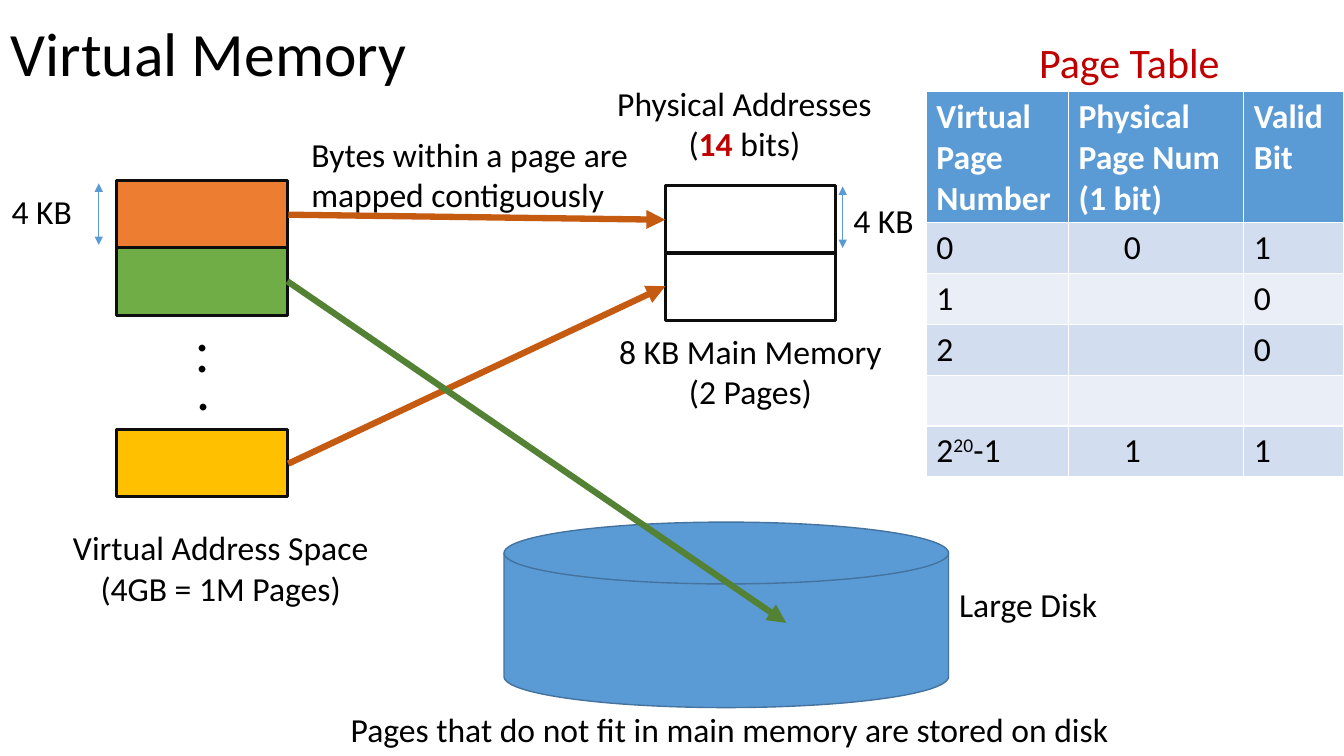
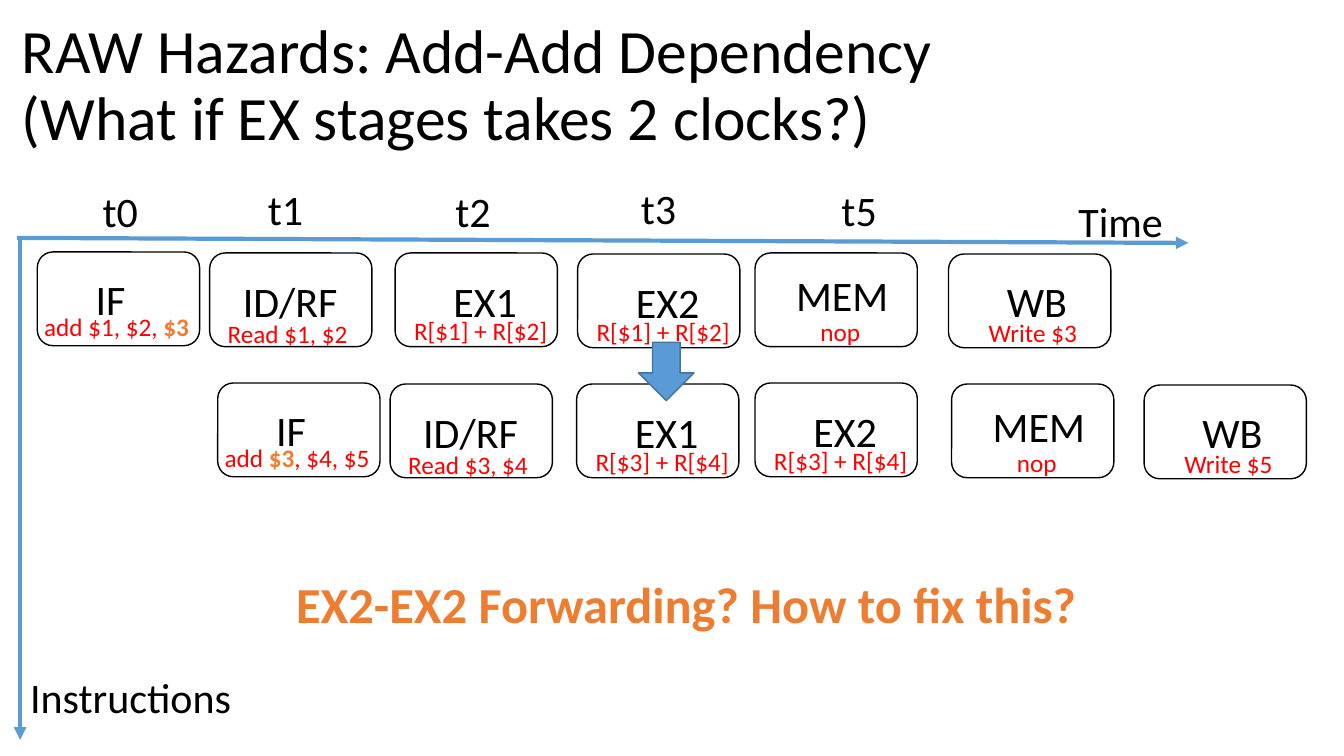
from lxml.etree import SubElement
from pptx import Presentation
from pptx.dml.color import RGBColor
from pptx.enum.shapes import MSO_CONNECTOR, MSO_SHAPE
from pptx.enum.text import MSO_ANCHOR, MSO_AUTO_SIZE, PP_ALIGN
from pptx.oxml.ns import qn
from pptx.util import Inches, Pt

# Grid: square cells of a tenth of an inch, 133.33 columns by 75 rows
COLUMNS, ROWS = 133.33, 75

# Shared style
FONT = "Calibri"
BLACK, WHITE, OUTLINE = "000000", "FFFFFF", "0D0D0D"
BLUE, DARK_BLUE = "5B9BD5", "43739E"
ORANGE, RUST = "ED7D31", "C55A11"
GREEN, DARK_GREEN = "70AD47", "548235"
YELLOW, CRIMSON, RED = "FFC000", "C00000", "FF0000"
BANDS = ("D2DEEF", "EAEFF7")

TITLE = {"size": 44}
BODY = {"size": 24}
HEADING = {"size": 30}
NOTE = {"size": 18, "color": RED}
QUESTION = {"size": 36, "color": ORANGE, "bold": True}
KEY = {"color": ORANGE, "bold": True}
CENTER = PP_ALIGN.CENTER


def grid(cells):
    return Inches(cells / 10)


def rgb(code):
    return RGBColor.from_string(code)


class Deck:
    """The presentation, its style and the slide being filled."""

    def __init__(self):
        self.presentation = Presentation()
        self.presentation.slide_width = grid(COLUMNS)
        self.presentation.slide_height = grid(ROWS)
        self.slide = None

    def new_slide(self, title, left, top):
        blank = self.presentation.slide_layouts[6]
        self.slide = self.presentation.slides.add_slide(blank)
        frame = self.text((left, top, 115, 14.5), title, TITLE, wrap=True, grow=False)
        frame.vertical_anchor = MSO_ANCHOR.MIDDLE
        frame.paragraphs[0].line_spacing = 0.9

    def set_words(self, frame, paragraphs, style, align=None):
        """Each paragraph is a string or a list of (words, style changes)."""
        if isinstance(paragraphs, str):
            paragraphs = [paragraphs]
        for index, content in enumerate(paragraphs):
            paragraph = frame.add_paragraph() if index else frame.paragraphs[0]
            paragraph.alignment = align
            runs = [(content, {})] if isinstance(content, str) else content
            for words, changes in runs:
                for number, line in enumerate(words.split("\n")):
                    if number:
                        paragraph.add_line_break()
                    run = paragraph.add_run()
                    run.text = line
                    self.format_font(run.font, {"color": BLACK, **style, **changes})

    def format_font(self, font, style):
        values = {"name": FONT, **style}
        font.color.rgb = rgb(values.pop("color"))
        baseline = values.pop("baseline", None)
        if baseline:
            font._element.set("baseline", baseline)
        values["size"] = Pt(values["size"])
        for name, value in values.items():
            setattr(font, name, value)

    def text(self, box, paragraphs, style=BODY, align=None, wrap=False, grow=True):
        frame = self.slide.shapes.add_textbox(*map(grid, box)).text_frame
        settings = {
            "word_wrap": wrap,
            "auto_size": MSO_AUTO_SIZE.SHAPE_TO_FIT_TEXT if grow else MSO_AUTO_SIZE.NONE,
        }
        for name, value in settings.items():
            setattr(frame, name, value)
        self.set_words(frame, paragraphs, style, align)
        return frame

    def shape(self, kind, box, fill=None, line=OUTLINE, weight=2.25, rotation=0):
        shape = self.slide.shapes.add_shape(kind, *map(grid, box))
        shape.shadow.inherit = False
        shape.rotation = rotation
        if fill:
            shape.fill.solid()
            shape.fill.fore_color.rgb = rgb(fill)
        else:
            shape.fill.background()
        shape.line.color.rgb = rgb(line)
        shape.line.width = Pt(weight)

    def arrow(self, start, end, color, weight, both_ends=False):
        arrow = self.slide.shapes.add_connector(
            MSO_CONNECTOR.STRAIGHT, *map(grid, (*start, *end)))
        arrow.line.color.rgb = rgb(color)
        arrow.line.width = Pt(weight)
        outline = arrow.line._get_or_add_ln()
        for tip in ("a:headEnd", "a:tailEnd") if both_ends else ("a:tailEnd",):
            SubElement(outline, qn(tip), type="triangle")
        SubElement(arrow._element.spPr, qn("a:effectLst"))

    def table(self, left, top, widths, heights, rows, indented):
        """The column numbered by indented is set in below its header."""
        box = (left, top, sum(widths), sum(heights))
        table = self.slide.shapes.add_table(
            len(rows), len(widths), *map(grid, box)).table
        for column, width in zip(table.columns, widths):
            column.width = grid(width)
        for index, (row, height, contents) in enumerate(zip(table.rows, heights, rows)):
            row.height = grid(height)
            style = BODY if index else {**BODY, "color": WHITE, "bold": True}
            for number, (cell, content) in enumerate(zip(row.cells, contents)):
                cell.fill.solid()
                cell.fill.fore_color.rgb = rgb(BANDS[(index - 1) % 2] if index else BLUE)
                if index and number == indented:
                    cell.margin_left = grid(5.5)
                if content:
                    self.set_words(cell.text_frame, content, style)

    def save(self):
        self.presentation.save("out.pptx")


def virtual_memory(deck):
    deck.new_slide("Virtual Memory", 0.1, -1.6)
    page_width, page_height = 16.9, 6.7
    virtual_left, physical_left = 11.6, 66

    # Memory pages
    pages = [
        (physical_left, 18.4, None),
        (physical_left, 18.4 + page_height, None),
        (virtual_left, 42.6, YELLOW),
        (virtual_left, 17.9, ORANGE),
        (virtual_left, 17.9 + page_height, GREEN),
    ]
    for left, top, fill in pages:
        deck.shape(MSO_SHAPE.RECTANGLE, (left, top, page_width, page_height), fill)
    for left, top in ((18.4, 28.8), (18.4, 30.9), (18.5, 34.7)):
        deck.text((left, top, 3.4, 7.7), ".", {"size": 40})

    # Disk and mappings
    deck.shape(MSO_SHAPE.FLOWCHART_MAGNETIC_DISK, (50, 51.8, 44.1, 18.4),
               BLUE, DARK_BLUE, 1)
    for start, end, color in (
        ((28.6, 21.3), (66, 21.8), RUST),
        ((28.6, 46), (66, 28.4), RUST),
        ((28.5, 27.9), (78, 61.8), DARK_GREEN),
    ):
        deck.arrow(start, end, color, 4.5)

    # Page sizes
    for ruler, top, label_left, label_top in (
        (9.8, 18.2, 0.1, 18.4),
        (83.6, 18.5, 83.6, 19.3),
    ):
        deck.arrow((ruler, top), (ruler, top + 6.1), BLUE, 0.5, both_ends=True)
        deck.text((label_left, label_top, 8.1, 5), "4 KB", align=CENTER)

    # Captions
    captions = [
        ((6.1, 51.8, 31.6, 9.1), ["Virtual Address Space", "(4GB = 1M Pages)"]),
        ((60.1, 7.7, 27.5, 9.1), [
            "Physical Addresses",
            [("(", {}), ("14", {"color": CRIMSON, "bold": True}), (" bits)", {})],
        ]),
        ((60.3, 32.3, 28.3, 9.1), ["8 KB Main Memory", "(2 Pages)"]),
        ((94.1, 57.4, 15.8, 5), "Large Disk"),
    ]
    for box, words in captions:
        deck.text(box, words, align=CENTER)
    deck.text((33.8, 69.8, 77.8, 5),
              "Pages that do not fit in main memory are stored on disk")
    deck.text((29.9, 12.8, 42.9, 9.1),
              "Bytes within a page are mapped contiguously", wrap=True)

    # Page table
    deck.text((102.1, 3.1, 20.1, 6.1), "Page Table", {**HEADING, "color": CRIMSON})
    last_page = [[("2", {}), ("20", {"baseline": "30000"}), ("-1", {})]]
    entries = [
        ("Virtual Page Number", ["Physical Page Num", "(1 bit)"], "Valid Bit"),
        ("0", "0", "1"),
        ("1", "", "0"),
        ("2", "", "0"),
        ("", "", ""),
        (last_page, "1", "1"),
    ]
    deck.table(91.9, 9.1, (14.1, 17.4, 9.9), [12.8] + [5.04] * 5, entries, indented=1)


def raw_hazards(deck):
    deck.new_slide("RAW Hazards: Add-Add Dependency\n(What if EX stages takes 2 clocks?)",
                   1.2, 1.4)

    # Axes
    deck.arrow((1.7, 23.6), (117.9, 24.1), BLUE, 3)
    deck.arrow((2, 23.6), (2, 73.4), BLUE, 3)
    deck.text((106, 18.9, 10.5, 6.1), "Time", HEADING)
    deck.text((2, 66.1, 22.2, 6.1), "Instructions", HEADING)
    for clock, left, top in (
        ("t0", 9.2, 17.9), ("t1", 25.6, 17.7), ("t2", 44.2, 17.9),
        ("t3", 62.6, 17.6), ("t5", 82.5, 17.8),
    ):
        deck.text((left, top, 5.6, 6.1), clock, HEADING)

    # Stage name: offset and width of its label, then of its note
    execute = ((4.8, 1.7, 8.4), (0.9, 5.7, 15.4))
    layout = {
        "IF": ((4.8, 1.6, 5), (-0.3, 5.4, 16.6)),
        "ID/RF": ((2.3, 1.7, 11.5), (0.8, 6, 14.1)),
        "EX1": execute,
        "EX2": execute,
        "MEM": ((3.1, 1.1, 11.3), (5.5, 5.8, 6)),
        "WB": ((4.8, 1.6, 8.1), (3, 5.8, 10.9)),
    }

    # Pipelines: left and top of each stage, and its note
    first_add = [[("add $1, $2, ", {}), ("$3", KEY)]]
    second_add = [[("add ", {}), ("$3", KEY), (", $4, $5", {})]]
    pipelines = [
        [(3.7, 25, first_add), (20.8, 25.1, "Read $1, $2"),
         (39.2, 25.1, "R[$1] + R[$2]"), (57.3, 25.2, "R[$1] + R[$2]"),
         (74.9, 25.1, "nop"), (94.1, 25.2, "Write $3")],
        [(21.6, 38, second_add), (38.7, 38.1, "Read $3, $4"),
         (57.2, 38.1, "R[$3] + R[$4]"), (74.9, 38, "R[$3] + R[$4]"),
         (94.4, 38.1, "nop"), (113.5, 38.2, "Write $5")],
    ]
    for stages in pipelines:
        for (name, (label, remark)), (left, top, note) in zip(layout.items(), stages):
            deck.shape(MSO_SHAPE.ROUNDED_RECTANGLE, (left, top, 16.1, 9.3),
                       line=BLACK, weight=1)
            for (right, down, width), height, words, style in (
                (label, 6.1, name, HEADING), (remark, 4, note, NOTE),
            ):
                deck.text((left + right, top + down, width, height), words, style)

    # Forwarding
    deck.shape(MSO_SHAPE.RIGHT_ARROW, (63.2, 34.1, 5.8, 5.5), BLUE, DARK_BLUE, 1, 90)
    deck.text((28.4, 56.4, 80.3, 7.1), "EX2-EX2 Forwarding? How to fix this?", QUESTION)


def main():
    deck = Deck()
    virtual_memory(deck)
    raw_hazards(deck)
    deck.save()


if __name__ == "__main__":
    main()
